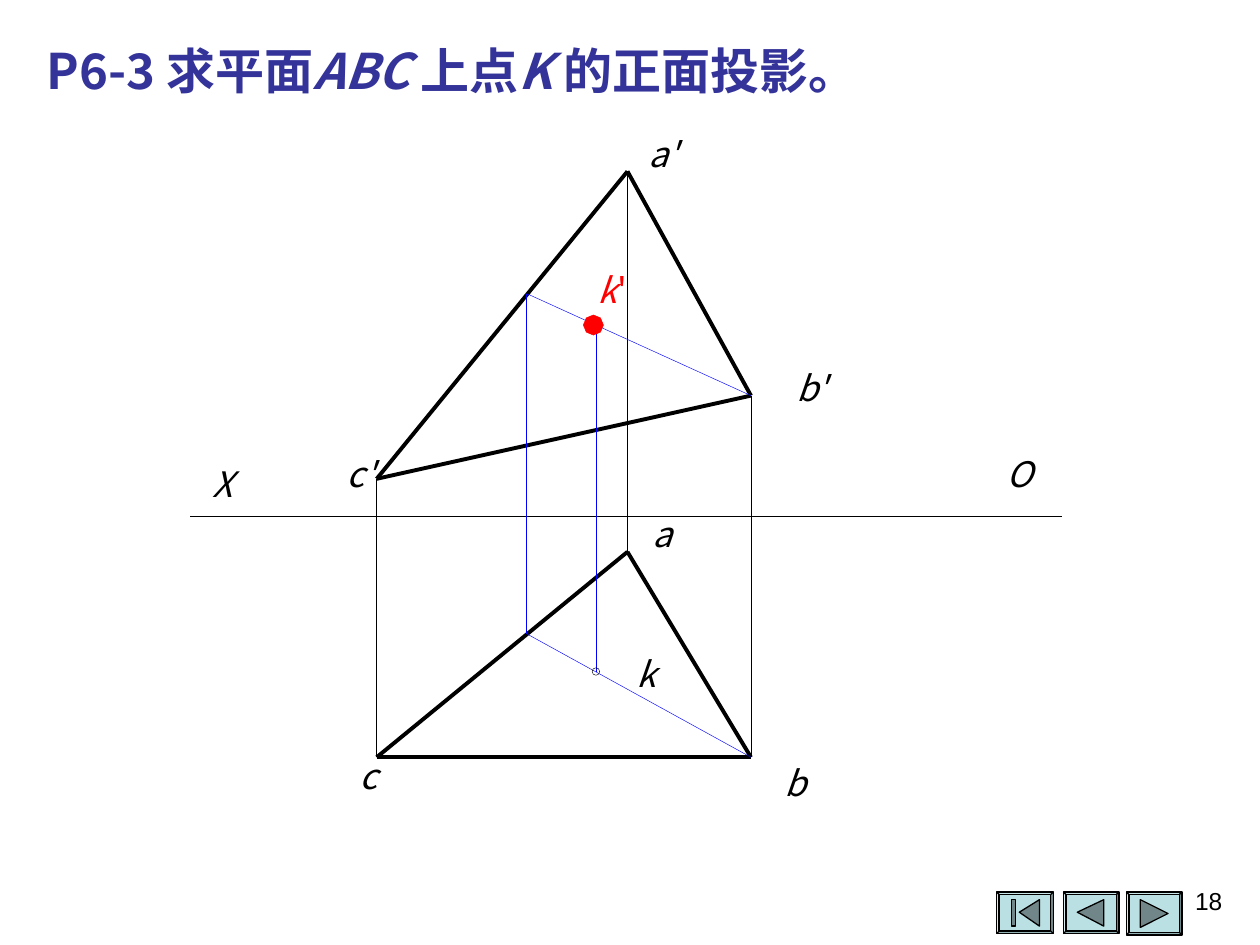
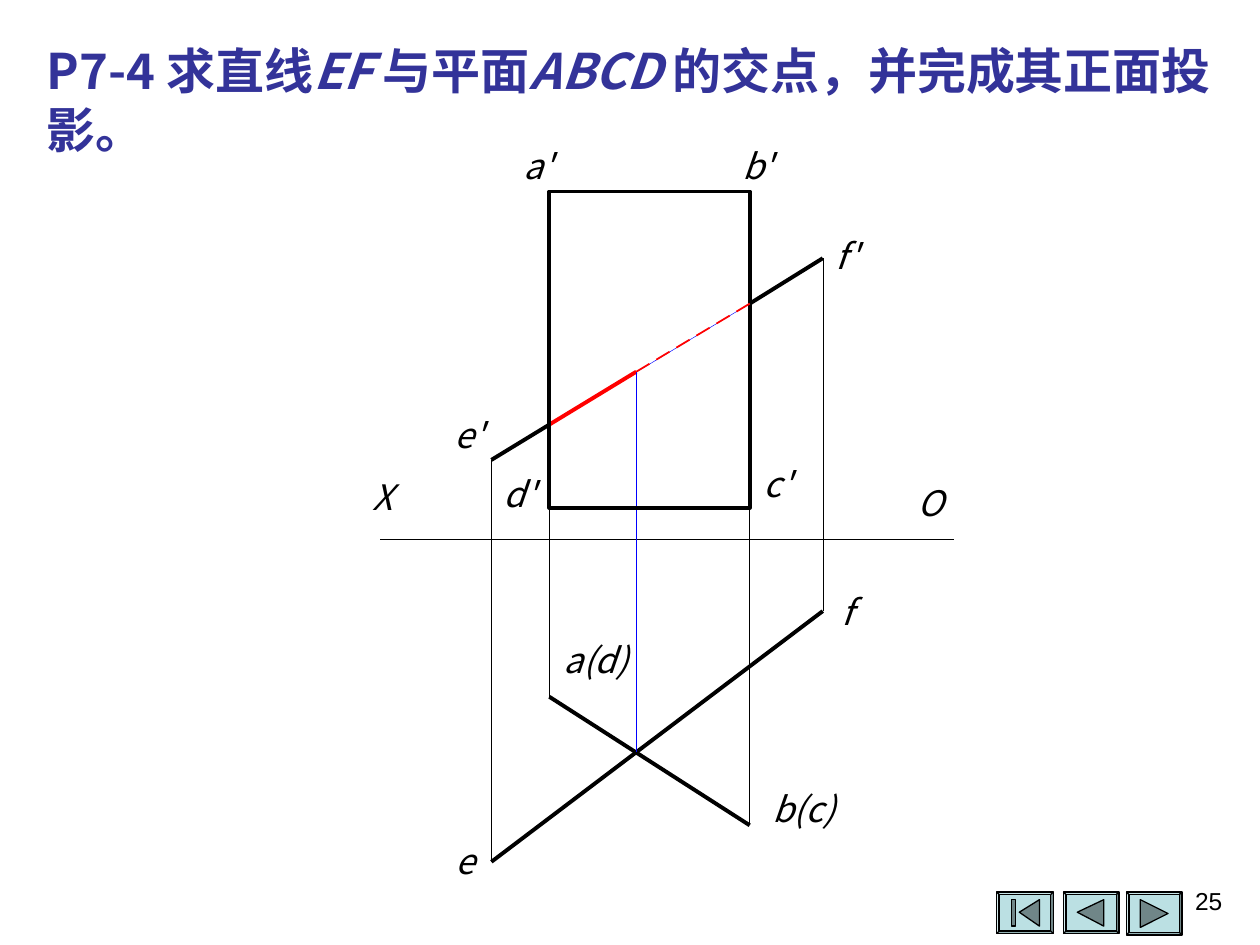
from math import cos, pi, sin

from pptx import Presentation
from pptx.dml.color import RGBColor
from pptx.enum.shapes import MSO_CONNECTOR, MSO_SHAPE
from pptx.enum.text import MSO_ANCHOR, MSO_AUTO_SIZE, PP_ALIGN
from pptx.oxml.ns import qn
from pptx.util import Inches, Pt

COLORS = {"title": "333399", "black": "000000", "blue": "0000FF", "red": "FF0000",
          "button": "BBE0E3", "icon": "708688"}
CJK_FONT = "Noto Sans CJK SC"
NUMBER_FONT = "Arial"
HAIRLINE, DASH, THICK = 0.25, 1, 2.25
CHAR_W, LABEL_H = 0.17, 0.33

# Navigation buttons: left, top, width, height, icon outlines
BUTTONS = [
    (8.94, 7.08, 0.44, 0.34, [[(9.05, 7.14), (9.27, 7.25), (9.05, 7.36)]]),
    (8.44, 7.08, 0.44, 0.33, [[(8.55, 7.24), (8.76, 7.14), (8.76, 7.35)]]),
    (7.91, 7.08, 0.45, 0.33, [[(8.09, 7.24), (8.25, 7.14), (8.25, 7.35)],
                              [(8.03, 7.14), (8.06, 7.14), (8.06, 7.35), (8.03, 7.35)]]),
]

# Title runs: text, italic. Lines: start, end, colour, width. Labels: text, left, top.
POINT_ON_PLANE = {
    "number": "18",
    "title_height": 0.57,
    "title": [("P6-3 求平面", False), ("ABC ", True), ("上点", False), ("K ", True),
              ("的正面投影。", False)],
    "points": {"X": (1.51, 4.1), "O": (8.43, 4.1),
               "a'": (4.98, 1.36), "b'": (5.96, 3.14), "c'": (2.99, 3.8),
               "a": (4.98, 4.38), "b": (5.96, 6.01), "c": (2.99, 6.01),
               "d'": (4.18, 2.33), "d": (4.18, 5.03),
               "k'": (4.73, 2.58), "k": (4.73, 5.33)},
    "lines": [("X", "O", "black", HAIRLINE),
              ("a'", "c'", "black", THICK), ("c'", "b'", "black", THICK),
              ("b'", "a'", "black", THICK),
              ("c'", "c", "black", HAIRLINE), ("b'", "b", "black", HAIRLINE),
              ("a", "c", "black", THICK), ("c", "b", "black", THICK),
              ("a", "b", "black", THICK), ("a'", "a", "black", HAIRLINE),
              ("b", "d", "blue", HAIRLINE), ("d", "d'", "blue", HAIRLINE),
              ("b'", "d'", "blue", HAIRLINE), ("k", "k'", "blue", HAIRLINE)],
    "labels": [("a", 5.17, 4.07), ("a'", 5.09, 1.05), ("b'", 6.27, 2.91),
               ("c'", 2.69, 3.59), ("b", 6.23, 6.04), ("c", 2.84, 5.99),
               ("k", 5.04, 5.18), ("X", 1.68, 3.67), ("O", 7.99, 3.59)],
}

LINE_MEETS_PLANE = {
    "number": "25",
    "title_height": 1.04,
    "title": [("P7-4 求直线", False), ("EF ", True), ("与平面", False), ("ABCD ", True),
              ("的交点，并完成其正面投影。", False)],
    "points": {"X": (3.02, 4.28), "O": (7.57, 4.28),
               "e'": (3.9, 3.65), "f'": (6.53, 2.05), "e": (3.9, 6.84), "f": (6.53, 4.85),
               "a": (4.36, 5.53), "b": (5.95, 6.55), "d'": (4.36, 4.03), "c'": (5.95, 4.03),
               "left'": (4.36, 3.37), "right'": (5.95, 2.41),
               "k'": (5.05, 2.95), "k": (5.05, 5.97)},
    "lines": [("left'", "right'", "blue", HAIRLINE), ("left'", "k'", "red", THICK),
              ("X", "O", "black", HAIRLINE),
              ("e'", "left'", "black", THICK), ("right'", "f'", "black", THICK),
              ("e'", "e", "black", HAIRLINE), ("c'", "b", "black", HAIRLINE),
              ("d'", "a", "black", HAIRLINE), ("b", "a", "black", THICK),
              ("e", "f", "black", THICK), ("f", "f'", "black", HAIRLINE),
              ("k", "k'", "blue", HAIRLINE)],
    "labels": [("X", 2.95, 3.77), ("O", 7.28, 3.82), ("a'", 4.1, 1.15), ("c'", 6, 3.67),
               ("b'", 5.84, 1.15), ("b(c)", 6.04, 6.25), ("a(d)", 4.39, 5.07),
               ("e'", 3.55, 3.28), ("f'", 6.55, 1.86), ("e", 3.61, 6.66),
               ("f", 6.64, 4.69), ("d'", 3.95, 3.75)],
}
PLANE_FRONT = (4.36, 1.52, 1.59, 2.51)
DASH_COUNT, DASH_SHARE = 6, 0.66


def rgb(color):
    return RGBColor.from_string(COLORS[color])


def style_run(r, size, color, font=CJK_FONT, bold=False, italic=False):
    r.font.name, r.font.size = font, Pt(size)
    r.font.bold, r.font.italic = bold, italic
    r.font.color.rgb = rgb(color)
    r.font._element.find(qn("a:latin")).addnext(
        r.font._element.makeelement(qn("a:ea"), {"typeface": font}))


def style_shape(shape, fill, line, width):
    shape.shadow.inherit = False
    if fill:
        shape.fill.solid()
        shape.fill.fore_color.rgb = rgb(fill)
    else:
        shape.fill.background()
    shape.line.color.rgb = rgb(line)
    shape.line.width = Pt(width)


def add_line(s, start, end, color, width):
    line = s.shapes.add_connector(MSO_CONNECTOR.STRAIGHT, *map(Inches, (*start, *end)))
    line.line.color.rgb = rgb(color)
    line.line.width = Pt(width)
    props = line._element.spPr
    props.append(props.makeelement(qn("a:effectLst"), {}))


def add_polygon(s, corners, fill, line, width):
    corners = [(Inches(x), Inches(y)) for x, y in corners]
    builder = s.shapes.build_freeform(*corners[0])
    builder.add_line_segments(corners[1:], close=True)
    style_shape(builder.convert_to_shape(), fill, line, width)


def add_dot(s, center, radius, fill, line):
    """Mark a point with a small eight-sided dot."""
    x, y = center
    angles = [i * pi / 4 for i in range(8)]
    add_polygon(s, [(x + radius * cos(t), y + radius * sin(t)) for t in angles],
                fill, line, HAIRLINE)


def add_label(s, text, left, top, color="black", upright=""):
    """Add an italic label, with an optional upright ending."""
    box = s.shapes.add_textbox(Inches(left), Inches(top),
                               Inches(CHAR_W * len(text + upright)), Inches(LABEL_H))
    tf = box.text_frame
    tf.margin_left = tf.margin_right = tf.margin_top = tf.margin_bottom = 0
    tf.word_wrap = False
    p = tf.paragraphs[0]
    p.alignment = PP_ALIGN.CENTER
    for part, italic in ((text, True), (upright, False)):
        if part:
            r = p.add_run()
            r.text = part
            style_run(r, 20, color, italic=italic)


def add_title(s, runs, height):
    title = s.shapes.title
    title.left, title.top = Inches(0.27), Inches(0.27)
    title.width, title.height = Inches(9.53), Inches(height)
    tf = title.text_frame
    tf.auto_size = MSO_AUTO_SIZE.NONE
    tf.word_wrap = True
    tf.vertical_anchor = MSO_ANCHOR.TOP
    p = tf.paragraphs[0]
    p.alignment = PP_ALIGN.LEFT
    for text, italic in runs:
        r = p.add_run()
        r.text = text
        style_run(r, 28, "title", bold=True, italic=italic)


def add_buttons(s):
    for left, top, width, height, icon in BUTTONS:
        button = s.shapes.add_shape(MSO_SHAPE.BEVEL, *map(Inches, (left, top, width, height)))
        button.adjustments[0] = 0.06
        style_shape(button, "button", "black", 0.75)
        for outline in icon:
            add_polygon(s, outline, "icon", "black", 0.75)


def add_page_number(s, number):
    box = s.shapes.add_textbox(Inches(7.47), Inches(6.98), Inches(2.33), Inches(0.52))
    box.text_frame.word_wrap = True
    p = box.text_frame.paragraphs[0]
    p.text = number
    p.alignment = PP_ALIGN.RIGHT
    style_run(p.runs[0], 14, "black", font=NUMBER_FONT)


def add_projection_slide(prs, content):
    s = prs.slides.add_slide(prs.slide_layouts[5])
    add_buttons(s)
    add_title(s, content["title"], content["title_height"])
    points = content["points"]
    for start, end, color, width in content["lines"]:
        add_line(s, points[start], points[end], color, width)
    for label in content["labels"]:
        add_label(s, *label)
    add_page_number(s, content["number"])
    return s


def mark_point_k(s, points):
    add_dot(s, points["k"], 0.03, None, "black")
    add_label(s, "k", 4.69, 2.13, "red", upright="'")
    add_dot(s, (4.71, 2.58), 0.08, "red", "red")


def add_plane_and_hidden_line(s, points):
    plane = s.shapes.add_shape(MSO_SHAPE.RECTANGLE, *map(Inches, PLANE_FRONT))
    style_shape(plane, None, "black", THICK)
    (x0, y0), (x1, y1) = points["k'"], points["right'"]
    pitch = 1 / (DASH_COUNT - 1 + DASH_SHARE)
    for i in range(DASH_COUNT):
        start, end = [(x0 + t * (x1 - x0), y0 + t * (y1 - y0))
                      for t in (i * pitch, (i + DASH_SHARE) * pitch)]
        add_line(s, start, end, "red", DASH)


def main():
    prs = Presentation()
    prs.slide_width, prs.slide_height = Inches(10), Inches(7.5)
    s = add_projection_slide(prs, POINT_ON_PLANE)
    mark_point_k(s, POINT_ON_PLANE["points"])
    s = add_projection_slide(prs, LINE_MEETS_PLANE)
    add_plane_and_hidden_line(s, LINE_MEETS_PLANE["points"])
    prs.save("out.pptx")


if __name__ == "__main__":
    main()
